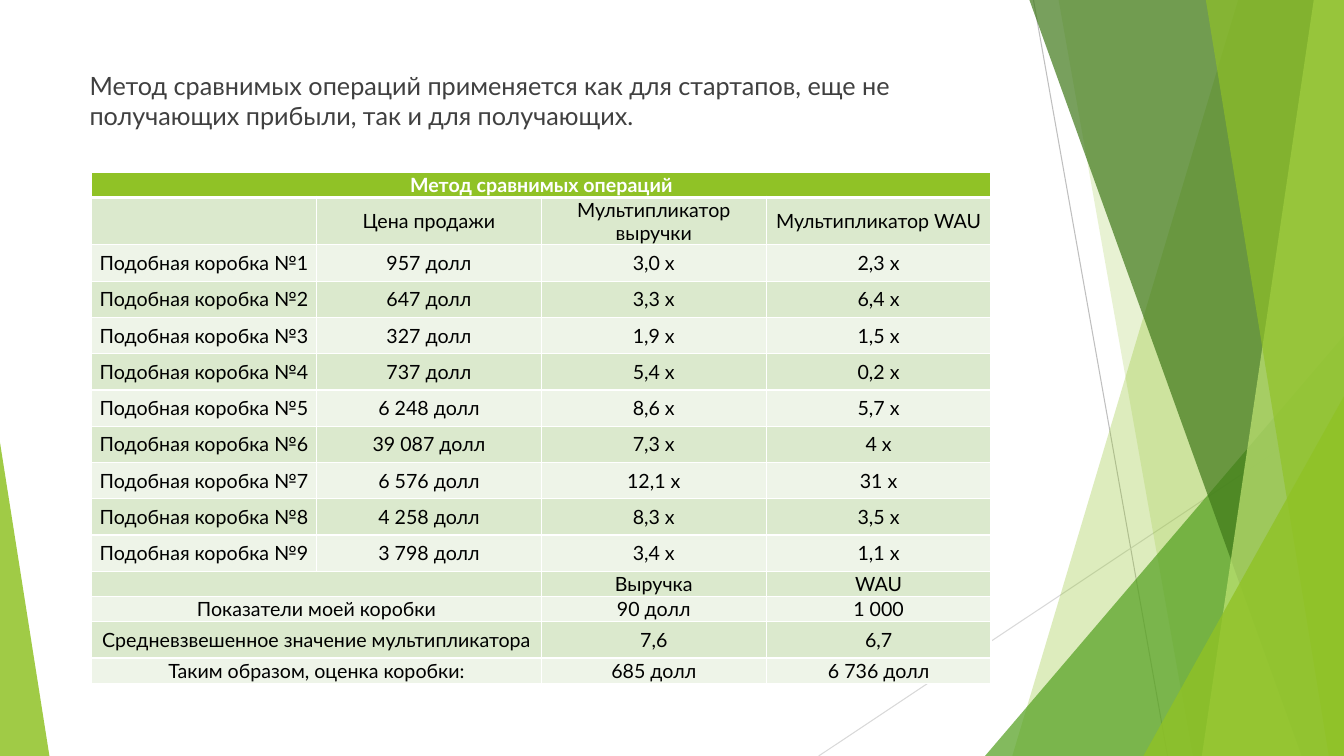
import pptx
import pptx.dml.color
import pptx.enum.shapes
import pptx.enum.text
import pptx.oxml
import pptx.oxml.ns
import pptx.util

INTRO = ("Метод сравнимых операций применяется как для стартапов, "
         "еще не получающих прибыли, так и для получающих.")
TITLE = "Метод сравнимых операций"
HEADINGS = ("", "Цена продажи", "Мультипликатор выручки", "Мультипликатор WAU")
BOXES = [
    ("957 долл", "3,0 x", "2,3 x"),
    ("647 долл", "3,3 x", "6,4 x"),
    ("327 долл", "1,9 x", "1,5 x"),
    ("737 долл", "5,4 x", "0,2 x"),
    ("6 248 долл", "8,6 x", "5,7 x"),
    ("39 087 долл", "7,3 x", "4 x"),
    ("6 576 долл", "12,1 x", "31 x"),
    ("4 258 долл", "8,3 x", "3,5 x"),
    ("3 798 долл", "3,4 x", "1,1 x"),
]
SUMMARY = [
    ("", "Выручка", "WAU"),
    ("Показатели моей коробки", "90 долл", "1 000"),
    ("Средневзвешенное значение мультипликатора", "7,6", "6,7"),
    ("Таким образом, оценка коробки:", "685 долл", "6 736 долл"),
]
COLOURS = {
    "white": "FFFFFF", "black": "000000", "intro": "404040",
    "lime": "90C226", "green": "54A021", "forest": "3F7819", "pale": "C0E474",
    "dark band": "DBE9CD", "light band": "EEF4E8",
    "steep line": "BFBFBF", "flat line": "D9D9D9",
}
FONT = "Lato"
WIDTH, HEIGHT = 13.33, 7.5
COLUMN = 2.23
THIN, TALL, HEADING = 0.25, 0.36, 0.47
ROW_HEIGHTS = [THIN, HEADING] + [TALL] * len(BOXES) + [THIN, THIN, TALL, THIN]

# Lines: start, end, colour
RAYS = [((10.25, 0), (11.58, HEIGHT), "steep line"),
        ((WIDTH, 4.03), (8.12, HEIGHT), "flat line")]
# Facets from back to front. A band runs from its top left x to its bottom left x
# and fills up to the right edge; a wedge stands on the bottom edge:
# left, width, height, apex position.
FACETS = [
    ("band", (12.28, 10.04), "lime", 30),
    ("band", (10.5, 11.83), "lime", 20),
    ("wedge", (9.77, 3.56, 4.17, 1), "green", 72),
    ("band", (10.21, 12.91), "forest", 70),
    ("band", (13.03, 11.92), "pale", 70),
    ("band", (11.96, 13.18), "lime", 65),
    ("wedge", (11.34, 1.99, 3.57, 1), "lime", 80),
    ("wedge", (0, 0.49, 3.11, 0), "lime", 85),
]

inch = pptx.util.Inches
qn = pptx.oxml.ns.qn


def rgb(colour):
    return pptx.dml.color.RGBColor.from_string(COLOURS[colour])


def write(frame, text, size=14, colour="black", bold=False, align="LEFT", before=0):
    frame.word_wrap = True
    paragraph = frame.paragraphs[0]
    paragraph.alignment = getattr(pptx.enum.text.PP_ALIGN, align)
    paragraph.space_before = pptx.util.Pt(before)
    if text:
        letters = paragraph.add_run()
        letters.text = text
        font = letters.font
    else:
        font = paragraph.font
    font.name, font.size, font.bold = FONT, pptx.util.Pt(size), bold
    font.color.rgb = rgb(colour)


def draw_ray(slide, start, end, colour):
    ray = slide.shapes.add_connector(
        pptx.enum.shapes.MSO_CONNECTOR.STRAIGHT, *map(inch, start + end))
    ray.line.color.rgb = rgb(colour)
    ray.line.width = pptx.util.Pt(0.75)
    pptx.oxml.ns  # namespaces are registered here
    ray._element.spPr.append(ray._element.makeelement(qn("a:effectLst"), {}))


def draw_facet(slide, kind, place, colour, opacity):
    if kind == "band":
        top_left, bottom_left = place
        corners = [(top_left, 0), (WIDTH, 0), (WIDTH, HEIGHT), (bottom_left, HEIGHT)]
        points = [(inch(x), inch(y)) for x, y in corners]
        outline = slide.shapes.build_freeform(*points[0])
        outline.add_line_segments(points[1:], close=True)
        facet = outline.convert_to_shape()
    else:
        left, width, height, apex = place
        facet = slide.shapes.add_shape(
            pptx.enum.shapes.MSO_SHAPE.ISOSCELES_TRIANGLE,
            inch(left), inch(HEIGHT - height), inch(width), inch(height))
        facet.adjustments[0] = apex
    facet.shadow.inherit = False
    facet.line.fill.background()
    facet.fill.solid()
    facet.fill.fore_color.rgb = rgb(colour)
    tint = facet._element.spPr.find(qn("a:solidFill"))[0]
    tint.append(tint.makeelement(qn("a:alpha"), {"val": str(opacity * 1000)}))


def border(cell, widths):
    """Draw white borders; widths maps the sides L, R, T, B to points."""
    properties = cell._tc.get_or_add_tcPr()
    for side, width in widths.items():
        properties.append(pptx.oxml.parse_xml(
            f'<a:ln{side} {pptx.oxml.ns.nsdecls("a")} w="{pptx.util.Pt(width)}">'
            f'<a:solidFill><a:srgbClr val="{COLOURS["white"]}"/></a:solidFill>'
            f'</a:ln{side}>'))


def draw_table(slide):
    rows = [(TITLE, "", "", ""), HEADINGS]
    rows += [(f"Подобная коробка №{number}",) + box
             for number, box in enumerate(BOXES, 1)]
    first_summary = len(rows)
    rows += [(label, "", revenue, users) for label, revenue, users in SUMMARY]

    table = slide.shapes.add_table(
        len(rows), len(HEADINGS), inch(0.91), inch(1.71),
        inch(COLUMN * len(HEADINGS)), inch(sum(ROW_HEIGHTS))).table
    for column in table.columns:
        column.width = inch(COLUMN)
    for r, (values, height) in enumerate(zip(rows, ROW_HEIGHTS)):
        table.rows[r].height = inch(height)
        band = "lime" if r == 0 else "dark band" if r % 2 else "light band"
        for c, value in enumerate(values):
            cell = table.cell(r, c)
            cell.margin_left = cell.margin_right = 0
            cell.margin_top = cell.margin_bottom = 0
            cell.vertical_anchor = pptx.enum.text.MSO_ANCHOR.MIDDLE
            border(cell, {"L": 1, "R": 1, "T": 3 if r == 1 else 1,
                          "B": 3 if r == 0 else 1})
            cell.fill.solid()
            cell.fill.fore_color.rgb = rgb(band)
            write(cell.text_frame, value, align="CENTER", bold=r == 0,
                  colour="white" if r == 0 else "black")
    table.cell(0, 0).merge(table.cell(0, len(HEADINGS) - 1))
    for r in range(first_summary, len(rows)):
        table.cell(r, 0).merge(table.cell(r, 1))


def main():
    deck = pptx.Presentation()
    deck.slide_width, deck.slide_height = inch(WIDTH), inch(HEIGHT)
    slide = deck.slides.add_slide(deck.slide_layouts[6])
    for ray in RAYS:
        draw_ray(slide, *ray)
    for facet in FACETS:
        draw_facet(slide, *facet)
    intro = slide.shapes.add_textbox(inch(0.79), inch(0.65), inch(9.44), inch(0.71))
    write(intro.text_frame, INTRO, size=18, colour="intro", before=10)
    draw_table(slide)
    deck.save("out.pptx")


if __name__ == "__main__":
    main()
